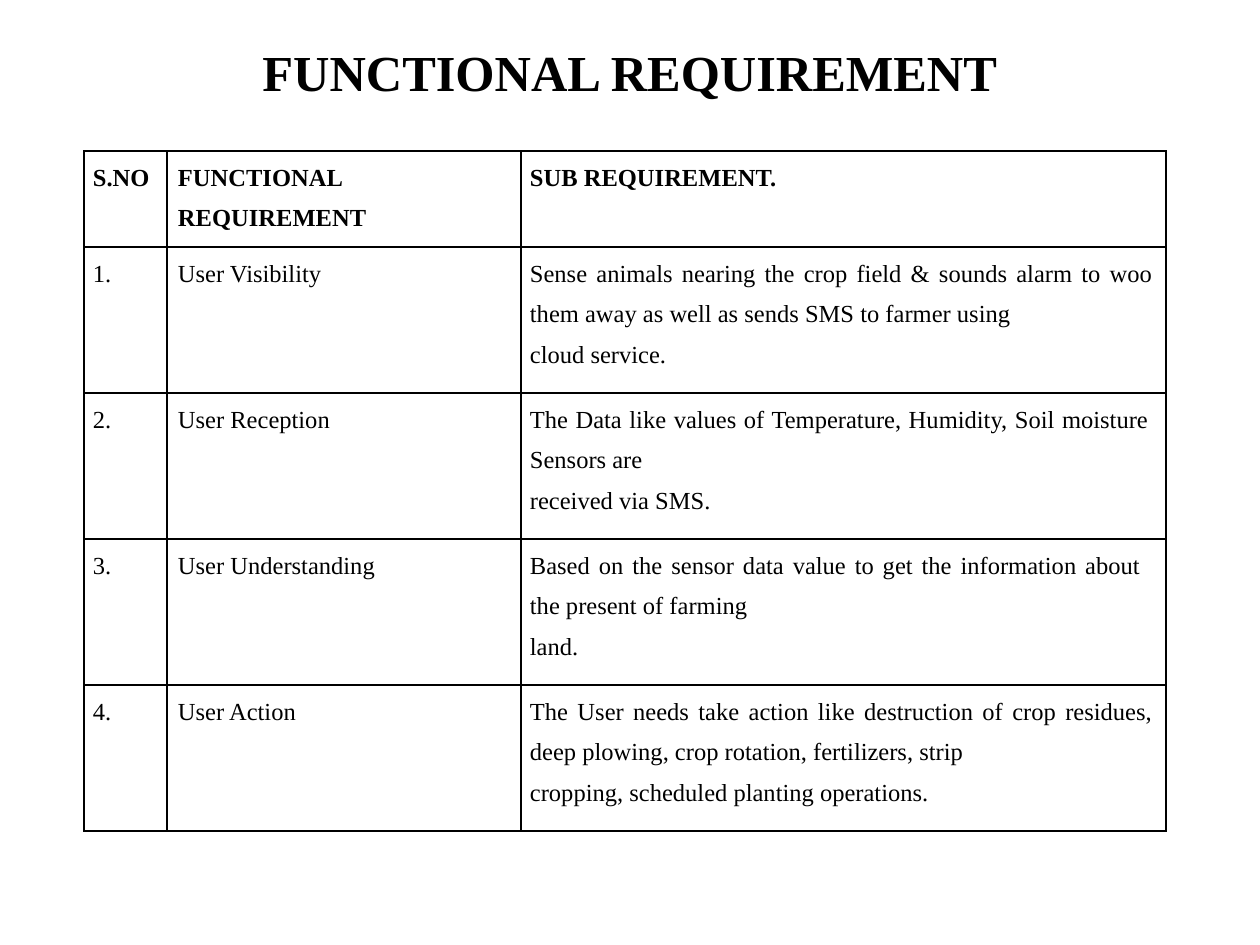
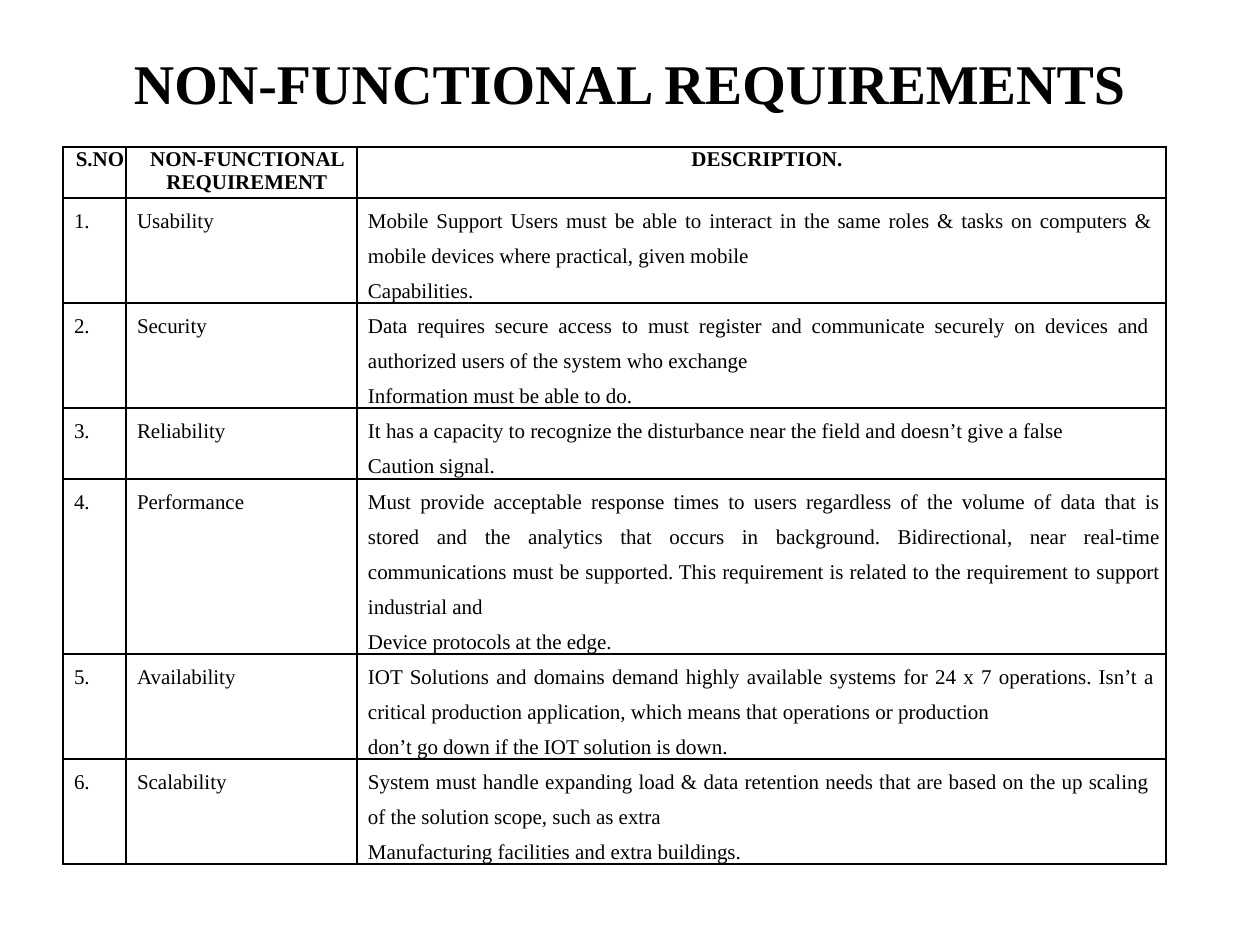
from pptx import Presentation
from pptx.dml.color import RGBColor
from pptx.enum.text import MSO_ANCHOR as Anchor, MSO_AUTO_SIZE as AutoSize, PP_ALIGN as Align
from pptx.oxml import parse_xml
from pptx.oxml.ns import nsdecls
from pptx.util import Emu, Pt

PX = 914400 / 126
BLACK = RGBColor(0, 0, 0)
FONT = "Times New Roman"
NO_INSETS = dict.fromkeys(
    ("margin_left", "margin_top", "margin_right", "margin_bottom"), 0)
PLAIN_TABLE = {"first_row": False, "horz_banding": False}

# Each row: right margin in px, space before in points, name, description paragraphs.
FUNCTIONAL = {
    "title": "FUNCTIONAL REQUIREMENT",
    "title_size": 28.8,
    "title_box": (63, 38, 1134, 67),
    "origin": (84, 151),
    "columns": (83, 354, 645),
    "heights": (96,) + (146,) * 4,
    "indents": (9, 11, 9),
    "size": 14,
    "header": ("S.NO", "FUNCTIONAL REQUIREMENT", "SUB REQUIREMENT."),
    "header_format": {"alignment": Align.JUSTIFY, "line_spacing": 1.5,
                      "space_before": Pt(0.8)},
    "rows": [
        (13, 0.8, "User Visibility",
         ("Sense animals nearing the crop field & sounds alarm to woo them away "
          "as well as sends SMS to farmer using",
          "cloud service.")),
        (17, 0.3, "User Reception",
         ("The Data like values of Temperature, Humidity, Soil moisture Sensors are",
          "received via SMS.")),
        (25, 0.3, "User Understanding",
         ("Based on the sensor data value to get the information about the present "
          "of farming",
          "land.")),
        (13, 0.3, "User Action",
         ("The User needs take action like destruction of crop residues, deep plowing, "
          "crop rotation, fertilizers, strip",
          "cropping, scheduled planting operations.")),
    ],
}

NON_FUNCTIONAL = {
    "title": "NON-FUNCTIONAL REQUIREMENTS",
    "title_size": 32,
    "title_box": (63, 38, 1134, 88),
    "origin": (63, 147),
    "columns": (63, 231, 809),
    "heights": (51, 105, 105, 71, 175, 105, 105),
    "indents": (11, 11, 11),
    "size": 12,
    "header": ("S.NO", "NON-FUNCTIONAL REQUIREMENT", "DESCRIPTION."),
    "header_format": {"alignment": Align.CENTER, "line_spacing": Pt(13.6),
                      "space_before": Pt(0.3)},
    "rows": [
        (13, 0.3, "Usability",
         ("Mobile Support Users must be able to interact in the same roles & tasks on "
          "computers & mobile devices where practical, given mobile",
          "Capabilities.")),
        (16, 0.3, "Security",
         ("Data requires secure access to must register and communicate securely on "
          "devices and authorized users of the system who exchange",
          "Information must be able to do.")),
        (13, 0.3, "Reliability",
         ("It has a capacity to recognize the disturbance near the field and doesn’t "
          "give a false",
          "Caution signal.")),
        (5, 0.8, "Performance",
         ("Must provide acceptable response times to users regardless of the volume of "
          "data that is stored and the analytics that occurs in background. "
          "Bidirectional, near real-time communications must be supported. This "
          "requirement is related to the requirement to support industrial and",
          "Device protocols at the edge.")),
        (11, 0.3, "Availability",
         ("IOT Solutions and domains demand highly available systems for 24 x 7 "
          "operations. Isn’t a critical production application, which means that "
          "operations or production",
          "don’t go down if the IOT solution is down.")),
        (16, 0.3, "Scalability",
         ("System must handle expanding load & data retention needs that are based on "
          "the up scaling of the solution scope, such as extra",
          "Manufacturing facilities and extra buildings.")),
    ],
}


def px(length):
    return Emu(round(length * PX))


def apply(target, formats):
    for name, value in formats.items():
        setattr(target, name, value)


def write(para, text, size, bold, formats):
    apply(para, formats)
    span = para.add_run()
    span.text = text
    apply(span.font, {"name": FONT, "size": Pt(size), "bold": bold})
    span.font.color.rgb = BLACK


def add_borders(cell):
    properties = cell._tc.get_or_add_tcPr()
    for position, side in enumerate("LRTB"):
        properties.insert(position, parse_xml(
            f'<a:ln{side} {nsdecls("a")} w="12700"><a:solidFill>'
            f'<a:srgbClr val="{BLACK}"/></a:solidFill></a:ln{side}>'))


def fill_cell(cell, texts, size, bold, indent, formats, right=0):
    apply(cell, {**NO_INSETS, "margin_right": px(right), "vertical_anchor": Anchor.TOP})
    cell.fill.background()
    add_borders(cell)
    frame = cell.text_frame
    for index, text in enumerate(texts):
        para = frame.add_paragraph() if index else frame.paragraphs[0]
        write(para, text, size, bold, formats if index == 0 else {**formats, "space_before": Pt(0)})
        para_properties = para._p.get_or_add_pPr()
        para_properties.set("marL", str(px(indent)))
        para_properties.set("indent", "0")


def place_title(page, content):
    title = page.shapes.title
    apply(title, dict(zip(("left", "top", "width", "height"),
                          map(px, content["title_box"]))))
    frame = title.text_frame
    apply(frame, {**NO_INSETS, "word_wrap": True, "auto_size": AutoSize.NONE,
                  "vertical_anchor": Anchor.MIDDLE})
    write(frame.paragraphs[0], content["title"], content["title_size"], True,
          {"alignment": Align.CENTER})


def place_table(page, content):
    columns, heights = content["columns"], content["heights"]
    box = (*content["origin"], sum(columns), sum(heights))
    table = page.shapes.add_table(len(heights), len(columns), *map(px, box)).table
    apply(table, PLAIN_TABLE)
    for column, width in zip(table.columns, columns):
        column.width = px(width)
    for row, height in zip(table.rows, heights):
        row.height = px(height)

    size, indents = content["size"], content["indents"]
    for column, (text, indent) in enumerate(zip(content["header"], indents)):
        fill_cell(table.cell(0, column), [text], size, True, indent,
                  content["header_format"])
    for number, (right, space, name, description) in enumerate(content["rows"], 1):
        formats = {"alignment": Align.JUSTIFY, "line_spacing": 1.5,
                   "space_before": Pt(space)}
        row_texts = ([f"{number}."], [name], description)
        for column, (texts, indent) in enumerate(zip(row_texts, indents)):
            fill_cell(table.cell(number, column), texts, size, False, indent, formats,
                      right if column == 2 else 0)


def add_requirements_page(deck, content):
    page = deck.slides.add_slide(deck.slide_layouts[5])
    place_title(page, content)
    place_table(page, content)


def main():
    deck = Presentation()
    apply(deck, {"slide_width": px(1260), "slide_height": px(945)})
    for content in (FUNCTIONAL, NON_FUNCTIONAL):
        add_requirements_page(deck, content)
    deck.save("out.pptx")


if __name__ == "__main__":
    main()
